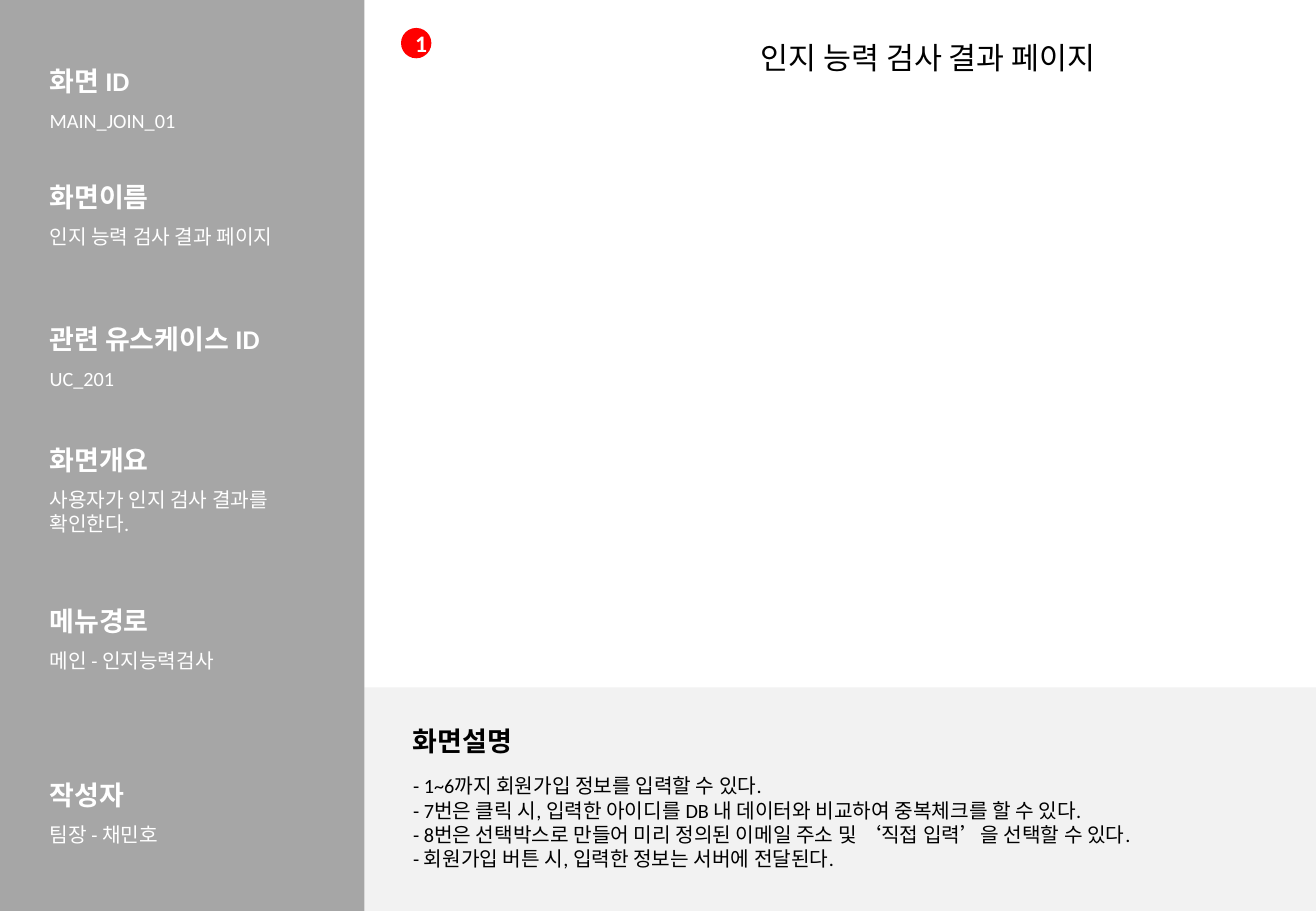
"""Build the screen specification slide for the cognitive test result page."""
from lxml import etree
from pptx import Presentation
from pptx.dml.color import RGBColor
from pptx.enum.shapes import MSO_SHAPE
from pptx.enum.text import MSO_ANCHOR, MSO_AUTO_SIZE, PP_ALIGN
from pptx.oxml.ns import qn
from pptx.util import Pt

PX = 9144
RECTANGLE, OVAL = MSO_SHAPE.RECTANGLE, MSO_SHAPE.OVAL
TOP, MIDDLE = MSO_ANCHOR.TOP, MSO_ANCHOR.MIDDLE
LEFT, CENTER = PP_ALIGN.LEFT, PP_ALIGN.CENTER
GROW = MSO_AUTO_SIZE.SHAPE_TO_FIT_TEXT
FONT = "Calibri"
COLORS = {"sidebar": "A6A6A6", "panel": "F2F2F2", "marker": "FF0000",
          "light": "FFFFFF", "dark": "000000"}


def add_filled(slide, kind, box, color):
    shape = slide.shapes.add_shape(kind, *[value * PX for value in box])
    shape.shadow.inherit = False
    shape.fill.solid()
    shape.fill.fore_color.rgb = RGBColor.from_string(COLORS[color])
    shape.line.fill.background()
    return shape


def write(shape, lines, size, color, bold=False, wrap=True, align=LEFT, anchor=TOP):
    frame = shape.text_frame
    frame.word_wrap = wrap
    frame.vertical_anchor = anchor
    for index, line in enumerate(lines):
        paragraph = frame.add_paragraph() if index else frame.paragraphs[0]
        paragraph.alignment = align
        run = paragraph.add_run()
        run.text = line
        run.font.name = FONT
        run.font.size = Pt(size)
        run.font.bold = bold
        run.font.color.rgb = RGBColor.from_string(COLORS[color])


presentation = Presentation()
presentation.slide_width = 1083 * PX
presentation.slide_height = 750 * PX
slide = presentation.slides.add_slide(presentation.slide_layouts[1])
title, body = slide.placeholders

placeholder_boxes = [(title, (616, 27, 321, 40)), (body, (330, 632, 731, 91))]
for placeholder, box in placeholder_boxes:
    placeholder.left, placeholder.top, placeholder.width, placeholder.height = [
        value * PX for value in box]
    placeholder.text_frame.auto_size = GROW

write(title, ["인지 능력 검사 결과 페이지"], 18, "dark", wrap=False)
write(body, [
    "- 1~6까지 회원가입 정보를 입력할 수 있다.",
    "- 7번은 클릭 시, 입력한 아이디를 DB 내 데이터와 비교하여 중복체크를 할 수 있다.",
    "- 8번은 선택박스로 만들어 미리 정의된 이메일 주소 및 ‘직접 입력’을 선택할 수 있다.",
    "- 회원가입 버튼 시, 입력한 정보는 서버에 전달된다.",
], 12, "dark")
for paragraph in body.text_frame.paragraphs:
    paragraph.space_before = Pt(0)
    properties = paragraph._p.get_or_add_pPr()
    properties.set("marL", "0")
    properties.set("indent", "0")
    etree.SubElement(properties, qn("a:buNone"))

panel = add_filled(slide, RECTANGLE, (300, 566, 783, 184), "panel")
title.element.addprevious(panel.element)
heading = slide.shapes.add_textbox(330 * PX, 592 * PX, 110 * PX, 37 * PX)
write(heading, ["화면설명"], 16, "dark", bold=True, wrap=False)

add_filled(slide, RECTANGLE, (0, 0, 300, 750), "sidebar")
sidebar_entries = [
    (48, 95, "화면 ID", "MAIN_JOIN_01", 30),
    (144, 110, "화면이름", "인지 능력 검사 결과 페이지", 30),
    (261, 208, "관련 유스케이스 ID", "UC_201", 30),
    (360, 110, "화면개요", "사용자가 인지 검사 결과를 확인한다.", 50),
    (493, 120, "메뉴경로", "메인 - 인지능력검사", 30),
    (636, 88, "작성자", "팀장 - 채민호", 30),
]
for top, label_width, label_text, value_text, value_height in sidebar_entries:
    entry = slide.shapes.add_group_shape()
    label = entry.shapes.add_textbox(31 * PX, top * PX, label_width * PX, 37 * PX)
    write(label, [label_text], 16, "light", bold=True, wrap=False)
    value = entry.shapes.add_textbox(
        31 * PX, (top + 36) * PX, 237 * PX, value_height * PX)
    write(value, [value_text], 12, "light")

marker = add_filled(slide, OVAL, (330, 23, 25, 25), "marker")
marker.text_frame.margin_left = 8 * PX
marker.text_frame.margin_right = 0
marker.text_frame.margin_top = marker.text_frame.margin_bottom = 0
write(marker, ["1"], 14, "light", bold=True, wrap=False, align=CENTER, anchor=MIDDLE)

presentation.save("out.pptx")
